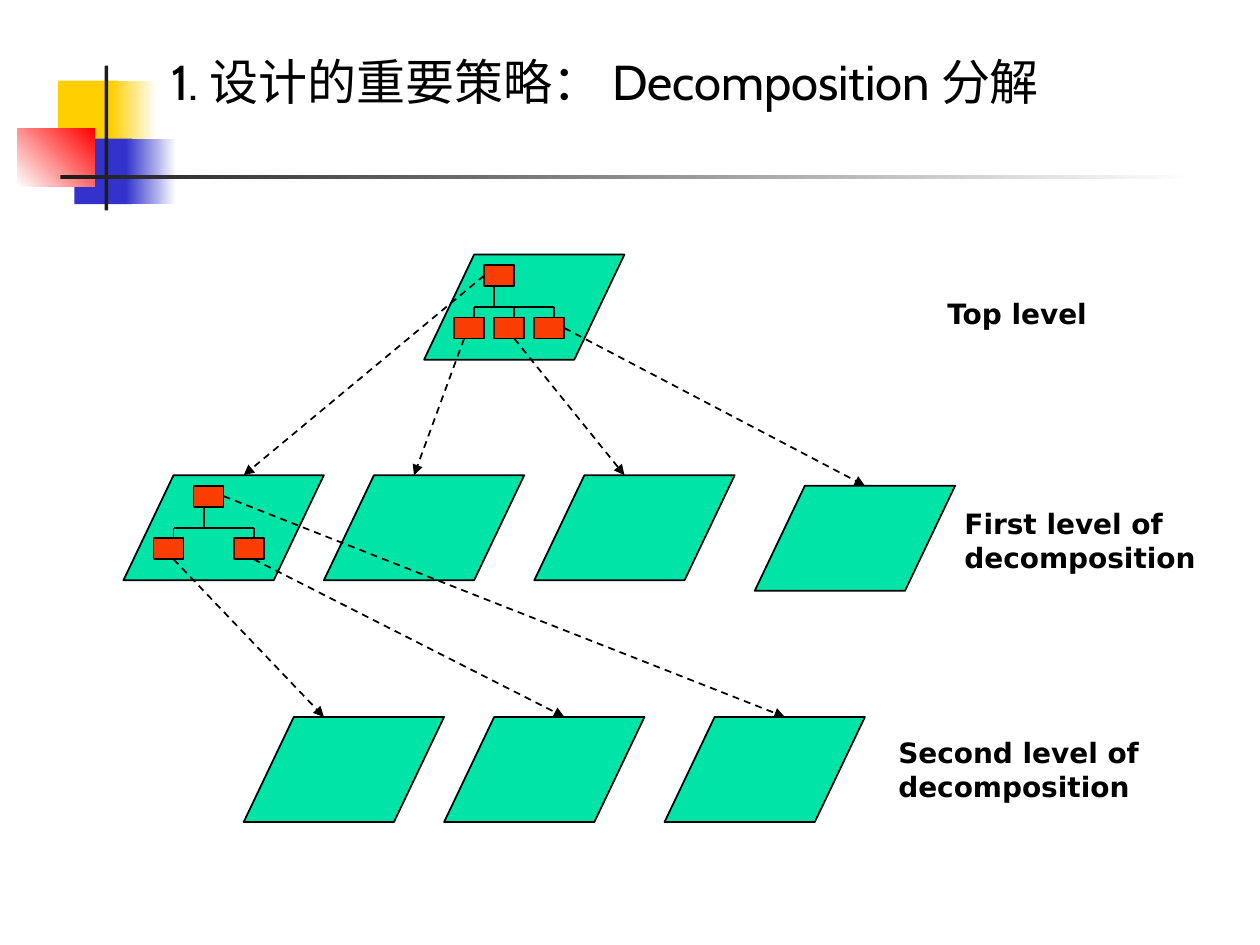
from dataclasses import dataclass

from lxml import etree
from pptx import Presentation
from pptx.dml.color import RGBColor
from pptx.enum.dml import MSO_LINE
from pptx.enum.shapes import MSO_CONNECTOR, MSO_SHAPE
from pptx.enum.text import MSO_ANCHOR, MSO_AUTO_SIZE, PP_ALIGN
from pptx.oxml.ns import qn
from pptx.util import Inches, Pt

RECT, PARALLELOGRAM = MSO_SHAPE.RECTANGLE, MSO_SHAPE.PARALLELOGRAM
STRAIGHT, DASH = MSO_CONNECTOR.STRAIGHT, MSO_LINE.DASH
TOP, LEFT = MSO_ANCHOR.TOP, PP_ALIGN.LEFT
FIT_SHAPE, NO_FIT = MSO_AUTO_SIZE.SHAPE_TO_FIT_TEXT, MSO_AUTO_SIZE.NONE

TITLE_ONLY = 5
# Diagram grid: origin and cell size in inches
GRID_LEFT, GRID_TOP = 0.98, 2.02
COL, ROW = 5.01 / 63, 3.67 / 44
# Sizes in grid cells
PLANE_W, PLANE_H = 20, 10
MODULE_W, MODULE_H = 3, 2


@dataclass(frozen=True)
class Theme:
    ink: str = "000000"
    paper: str = "FFFFFF"
    plane: str = "00E4A8"
    module: str = "FA3D02"
    yellow: str = "FFCF01"
    blue: str = "3333CC"
    red: str = "FF0000"
    rule: str = "1C1C1C"
    title_font: str = "Cabin"
    label_font: str = "DejaVu Sans"
    title_size: int = 28
    label_size: int = 16
    line_width: int = 1


class Board:
    """Draws styled elements on one slide."""

    def __init__(self, slide, theme):
        self.slide, self.theme = slide, theme

    def point(self, col, row):
        return Inches(GRID_LEFT + col * COL), Inches(GRID_TOP + row * ROW)

    def area(self, col, row, cols, rows):
        return *self.point(col, row), Inches(cols * COL), Inches(rows * ROW)

    def style(self, paragraph, font, size, bold=False):
        paragraph.font.name = font
        paragraph.font.size = Pt(size)
        paragraph.font.bold = bold
        paragraph.font.color.rgb = RGBColor.from_string(self.theme.ink)

    def title(self, text, place):
        heading = self.slide.shapes.title
        heading.left, heading.top, heading.width, heading.height = map(Inches, place)
        frame = heading.text_frame
        frame.text = text
        frame.word_wrap, frame.auto_size, frame.vertical_anchor = True, NO_FIT, TOP
        frame.paragraphs[0].alignment = LEFT
        self.style(frame.paragraphs[0], self.theme.title_font, self.theme.title_size)

    def ornament(self, place, start, end=None, angle=0):
        """A borderless block, plain or fading from start to end."""
        block = self.slide.shapes.add_shape(RECT, *map(Inches, place))
        block.shadow.inherit = False
        block.line.fill.background()
        if end is None:
            block.fill.solid()
            block.fill.fore_color.rgb = RGBColor.from_string(start)
            return
        block.fill.gradient()
        block.fill.gradient_angle = angle
        for stop, color in zip(block.fill.gradient_stops, (start, end)):
            stop.color.rgb = RGBColor.from_string(color)

    def outline(self, line):
        line.color.rgb = RGBColor.from_string(self.theme.ink)
        line.width = Pt(self.theme.line_width)

    def figure(self, kind, color, *cells):
        figure = self.slide.shapes.add_shape(kind, *self.area(*cells))
        figure.shadow.inherit = False
        figure.fill.solid()
        figure.fill.fore_color.rgb = RGBColor.from_string(color)
        self.outline(figure.line)
        return figure

    def plane(self, col, row):
        plane = self.figure(PARALLELOGRAM, self.theme.plane, col, row, PLANE_W, PLANE_H)
        plane.adjustments[0] = 0.477

    def module(self, col, row):
        self.figure(RECT, self.theme.module, col, row, MODULE_W, MODULE_H)

    def line(self, start, end):
        link = self.slide.shapes.add_connector(STRAIGHT, *self.point(*start), *self.point(*end))
        self.outline(link.line)
        etree.SubElement(link._element.spPr, qn("a:effectLst"))
        return link

    def arrow(self, start, end):
        link = self.line(start, end)
        link.line.dash_style = DASH
        etree.SubElement(link.line._get_or_add_ln(), qn("a:tailEnd"), type="triangle")

    def hierarchy(self, col, row, root, children):
        """A root module joined to its children, inside the plane at col, row."""
        self.module(col + root, row + 1)
        for child in children:
            self.module(col + child, row + 6)
        stem, bus = col + root + 1, row + 5
        drops = [col + child + 2 for child in children]
        self.line((stem, row + 3), (stem, bus))
        self.line((drops[0], bus), (drops[-1], bus))
        for drop in drops:
            self.line((drop, bus), (drop, row + 6))

    def label(self, text, *cells):
        box = self.slide.shapes.add_textbox(*self.area(*cells))
        frame = box.text_frame
        frame.text = text
        frame.word_wrap, frame.auto_size = True, FIT_SHAPE
        self.style(frame.paragraphs[0], self.theme.label_font, self.theme.label_size, True)


def main():
    deck = Presentation()
    deck.slide_width, deck.slide_height = Inches(10), Inches(7.5)
    theme = Theme()
    board = Board(deck.slides.add_slide(deck.slide_layouts[TITLE_ONLY]), theme)

    # Corner ornament and title rule
    board.ornament((0.46, 0.64, 0.48, 0.52), theme.yellow)
    board.ornament((0.88, 0.64, 0.36, 0.52), theme.yellow, theme.paper)
    board.ornament((0.59, 1.1, 0.46, 0.52), theme.blue)
    board.ornament((1, 1.1, 0.4, 0.52), theme.blue, theme.paper)
    board.ornament((0.14, 1.02, 0.61, 0.46), theme.paper, theme.red, angle=45)
    board.ornament((0.83, 0.52, 0.03, 1.15), theme.rule)
    board.ornament((0.48, 1.39, 9, 0.03), theme.rule, theme.paper)

    board.title("1. 设计的重要策略： Decomposition 分解", (1.26, 0.36, 8.52, 0.71))

    # Planes of the three levels
    top_level = [(30, 0)]
    first_level = [(0, 21), (20, 21), (41, 21), (63, 22)]
    second_level = [(12, 44), (32, 44), (54, 44)]
    for col, row in top_level + first_level + second_level:
        board.plane(col, row)

    # Module trees inside the decomposed planes
    board.hierarchy(*top_level[0], root=6, children=(3, 7, 11))
    board.hierarchy(*first_level[0], root=7, children=(3, 11))

    # Each module leads to the top edge of its plane
    top_modules = [(36, 2), (34, 8), (39, 8), (44, 7)]
    first_modules = [(5, 29), (13, 29), (10, 23)]
    landings = (12, 9, 9, 11, 8, 12, 12)
    for module, (col, row), landing in zip(
        top_modules + first_modules, first_level + second_level, landings
    ):
        board.arrow(module, (col + landing, row))

    # Level names
    board.label("Top level", 81, 3.4, 20, 4.4)
    board.label("First level of decomposition", 82.7, 23.4, 26, 7.7)
    board.label("Second level of decomposition", 76.1, 45.2, 31, 7.7)

    deck.save("out.pptx")


if __name__ == "__main__":
    main()
